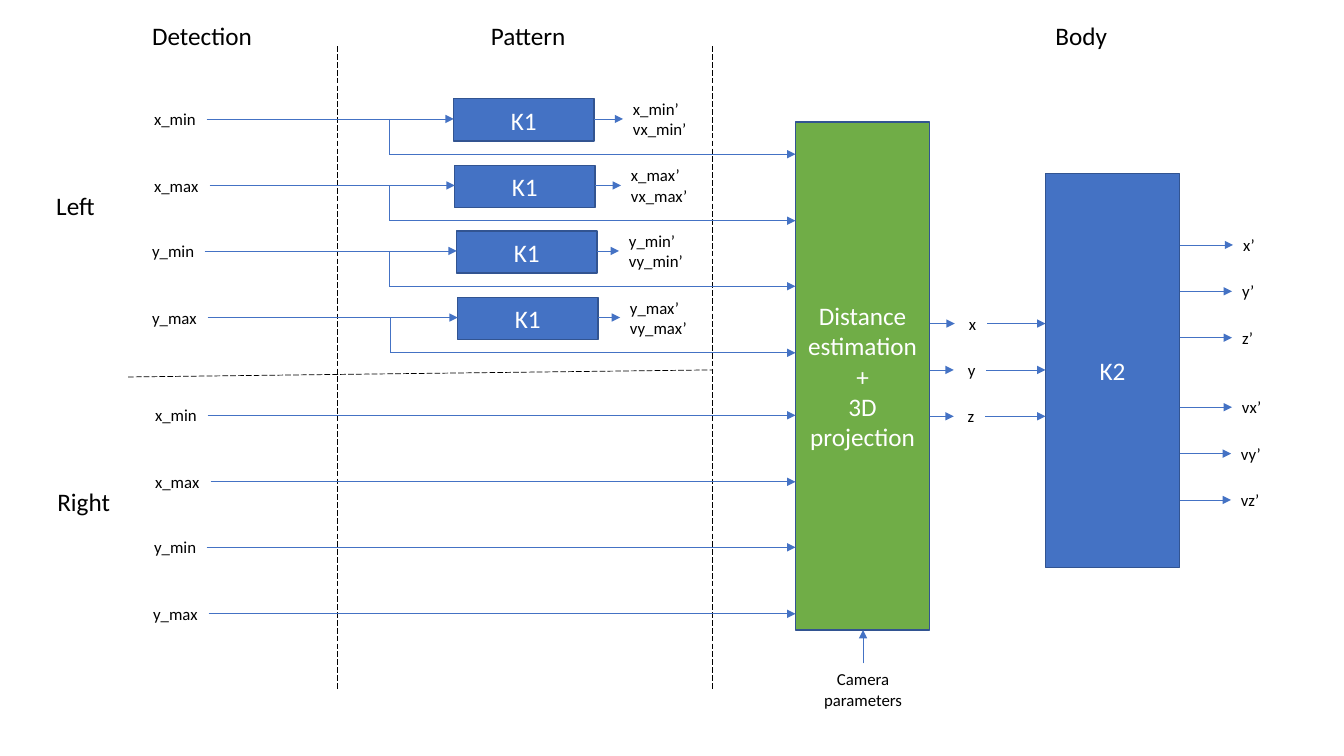
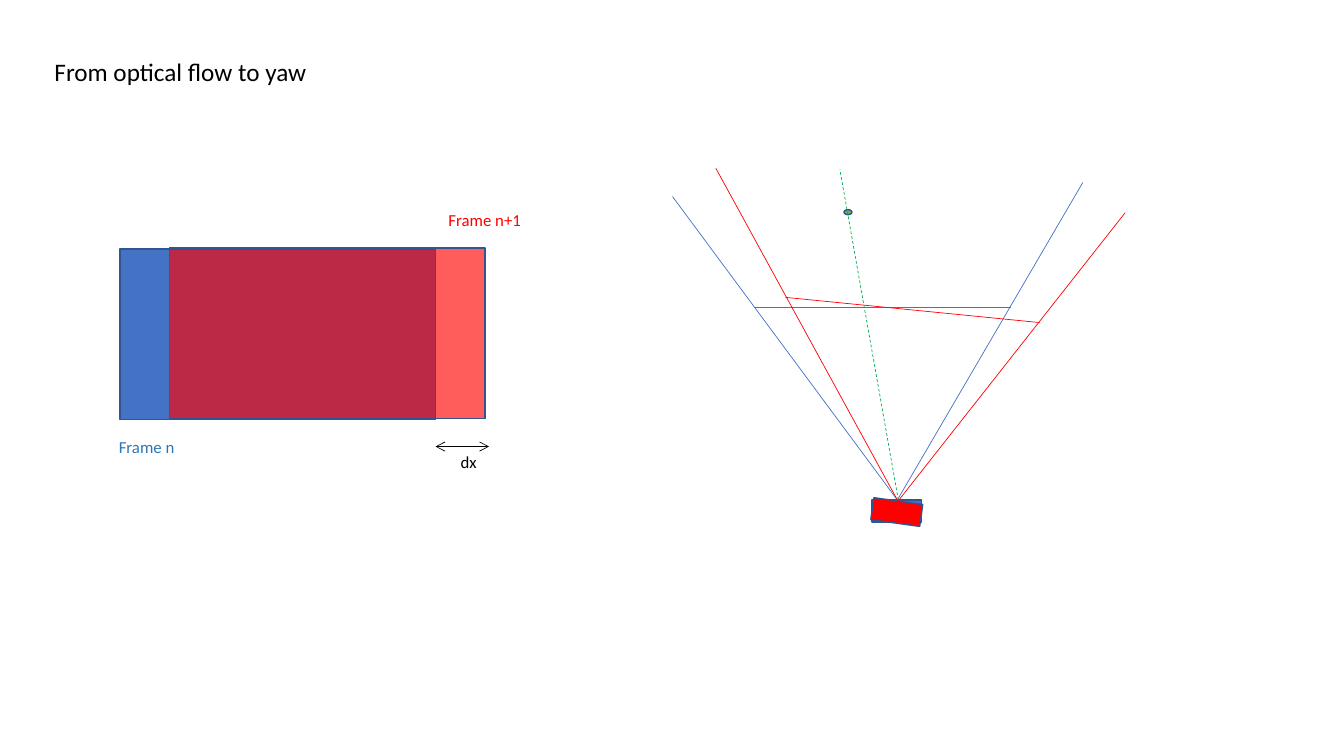
from lxml.etree import SubElement
from pptx import Presentation
from pptx.dml.color import RGBColor
from pptx.enum.dml import MSO_LINE as Dash
from pptx.enum.shapes import MSO_CONNECTOR as Connector, MSO_SHAPE as Preset
from pptx.enum.text import MSO_ANCHOR as Anchor, MSO_AUTO_SIZE as AutoSize, PP_ALIGN as Align
from pptx.oxml.ns import qn
from pptx.util import Pt

PX = 9144
FONT = "Calibri"
LARGE, SMALL = 18, 12
LINE_WIDTH, OUTLINE_WIDTH = 0.5, 1

BLACK = RGBColor(0x00, 0x00, 0x00)
WHITE = RGBColor(0xFF, 0xFF, 0xFF)
BLUE = RGBColor(0x44, 0x72, 0xC4)
OUTLINE = RGBColor(0x32, 0x54, 0x91)
CAPTION_BLUE = RGBColor(0x2E, 0x75, 0xB6)
GREEN = RGBColor(0x70, 0xAD, 0x47)
RAY_GREEN = RGBColor(0x00, 0xB0, 0x50)
RED = RGBColor(0xFF, 0x00, 0x00)


def px(*lengths):
    return [length * PX for length in lengths]


class Deck:
    def __init__(self):
        self.presentation = Presentation()
        self.presentation.slide_width, self.presentation.slide_height = px(1333, 750)

    def add_slide(self, title=None):
        layout = self.presentation.slide_layouts.get_by_name("Title Only" if title else "Blank")
        self.slide = self.presentation.slides.add_slide(layout)
        self.end_group()
        if title:
            shape = self.slide.shapes.title
            shape.left, shape.top, shape.width, shape.height = px(44, 51, 280, 40)
            shape.text_frame.auto_size = AutoSize.NONE
            self.fill_text(shape, title, LARGE)

    def begin_group(self):
        self.shapes = self.slide.shapes.add_group_shape().shapes

    def end_group(self):
        self.shapes = self.slide.shapes

    def fill_text(self, shape, text, size, color=BLACK, align=Align.LEFT, anchor=Anchor.TOP, wrap=False):
        frame = shape.text_frame
        frame.text = text
        frame.word_wrap = wrap
        frame.vertical_anchor = anchor
        for paragraph in frame.paragraphs:
            paragraph.alignment = align
            for run in paragraph.runs:
                run.font.name = FONT
                run.font.size = Pt(size)
                run.font.color.rgb = color

    def label(self, text, left, top, width, height=30, size=SMALL, **style):
        shape = self.shapes.add_textbox(*px(left, top, width, height))
        self.fill_text(shape, text, size, **style)
        shape.text_frame.auto_size = AutoSize.SHAPE_TO_FIT_TEXT

    def heading(self, text, left, top, width):
        self.label(text, left, top, width, 40, LARGE, wrap=True)

    def box(self, left, top, width, height, fill=BLUE, text=None, preset=Preset.RECTANGLE,
            opacity=None, rotation=0):
        shape = self.shapes.add_shape(preset, *px(left, top, width, height))
        shape.shadow.inherit = False
        shape.rotation = rotation
        shape.fill.solid()
        shape.fill.fore_color.rgb = fill
        shape.line.color.rgb = OUTLINE
        shape.line.width = Pt(OUTLINE_WIDTH)
        if opacity:
            color = shape._element.spPr.find(f"{qn('a:solidFill')}/{qn('a:srgbClr')}")
            SubElement(color, qn("a:alpha"), val=str(opacity * 1000))
        if text:
            self.fill_text(shape, text, LARGE, WHITE, Align.CENTER, Anchor.MIDDLE, wrap=True)

    def line(self, start, end, color=BLUE, dash=None, head=None, tail=None):
        connector = self.shapes.add_connector(Connector.STRAIGHT, *px(*start, *end))
        connector.line.color.rgb = color
        connector.line.width = Pt(LINE_WIDTH)
        if dash:
            connector.line.dash_style = dash
        properties = connector._element.spPr
        outline = properties.find(qn("a:ln"))
        for tag, kind in (("a:headEnd", head), ("a:tailEnd", tail)):
            if kind:
                SubElement(outline, qn(tag), type=kind)
        SubElement(properties, qn("a:effectLst"))

    def arrow(self, left, right, y):
        self.line((left, y), (right, y), tail="triangle")


SIGNALS = [("x_min", 62), ("x_max", 65), ("y_min", 62), ("y_max", 65)]
PROJECTION_LEFT, PROJECTION_RIGHT = 789, 922
BODY_LEFT, BODY_RIGHT = 1037, 1170


def signal_rows(first_y):
    for index, (name, width) in enumerate(SIGNALS):
        yield name, width, round(first_y + index * 65.6)


def build_pipeline(deck):
    deck.add_slide()
    for x in (335, 707):
        deck.line((x, 46), (x, 684), BLACK, Dash.LONG_DASH)
    deck.line((127, 374), (707, 367), BLACK, Dash.LONG_DASH)
    for text, left in (("Detection", 141), ("Pattern", 477), ("Body", 1037)):
        deck.heading(text, left, 15, 199)
    deck.heading("Left", 46, 184, 123)
    deck.heading("Right", 47, 478, 123)

    deck.box(PROJECTION_LEFT, 121, 133, 504, GREEN, "Distance\vestimation\v+\v3D\vprojection")
    deck.box(BODY_LEFT, 172, 133, 391, text="K2")
    deck.label("Camera\vparameters", 807, 659, 98, 50, align=Align.CENTER)
    deck.line((856, 658), (856, 625), tail="triangle")

    left_columns = [(143, 450, 618, 386), (143, 451, 616, 386),
                    (141, 453, 614, 386), (141, 454, 615, 387)]
    for (name, width, y), (left, filter_left, output_left, branch_x) in zip(signal_rows(118), left_columns):
        deck.label(name, left, y - 15, width)
        deck.box(filter_left, y - 20, 139, 42, text="K1")
        deck.arrow(left + width, filter_left, y)
        deck.arrow(filter_left + 139, output_left, y)
        deck.label(f"{name}’\vv{name}’", output_left, y - 25, width + 12, 50)
        deck.begin_group()
        deck.line((branch_x, y), (branch_x, y + 35))
        deck.arrow(branch_x, PROJECTION_LEFT, y + 35)
        deck.end_group()

    for (name, width, y), left in zip(signal_rows(412), (144, 144, 143, 142)):
        deck.label(name, left, y - 15, width)
        deck.arrow(left + width, PROJECTION_LEFT, y)

    for index, (axis, left, width) in enumerate((("x", 951, 28), ("y", 950, 28), ("z", 950, 27))):
        y = 321 + 46 * index
        deck.label(axis, left, y - 15, width)
        deck.arrow(PROJECTION_RIGHT, left - 4, y)
        deck.arrow(left + width, BODY_LEFT, y)
        for prefix, first_y, output_width in (("", 243, width + 4), ("v", 404, width + 12)):
            output_y = first_y + 46 * index
            output_left = left + 272 - len(prefix)
            deck.label(f"{prefix}{axis}’", output_left, output_y - 15, output_width)
            deck.arrow(BODY_RIGHT, output_left, output_y)


def build_yaw(deck):
    deck.add_slide("From optical flow to yaw")
    deck.box(119, 247, 313, 169)
    deck.box(168, 246, 313, 169, RED, opacity=64)
    deck.label("Frame n", 108, 428, 234, color=CAPTION_BLUE, wrap=True)
    deck.label("Frame n+1", 435, 203, 114, color=RED, wrap=True)
    deck.line((432, 443), (485, 443), BLACK, head="arrow", tail="arrow")
    deck.label("dx", 447, 443, 36)

    deck.begin_group()
    views = [
        (BLUE, (865, 496), 0, [((890, 496), (667, 195)), ((890, 496), (1074, 181)),
                               ((748, 305), (1003, 305))]),
        (RED, (865, 497), 7.9, [((890, 496), (710, 167)), ((890, 498), (1116, 211)),
                                ((779, 295), (1031, 320))]),
    ]
    for color, corner, rotation, rays in views:
        deck.box(*corner, 49, 22, color, rotation=rotation)
        for start, end in rays:
            deck.line(start, end, color)
    deck.box(837, 208, 8, 5, GREEN, preset=Preset.OVAL)
    deck.line((891, 496), (833, 168), RAY_GREEN, Dash.DASH)
    deck.end_group()


def main():
    deck = Deck()
    build_pipeline(deck)
    build_yaw(deck)
    deck.presentation.save("out.pptx")


if __name__ == "__main__":
    main()
